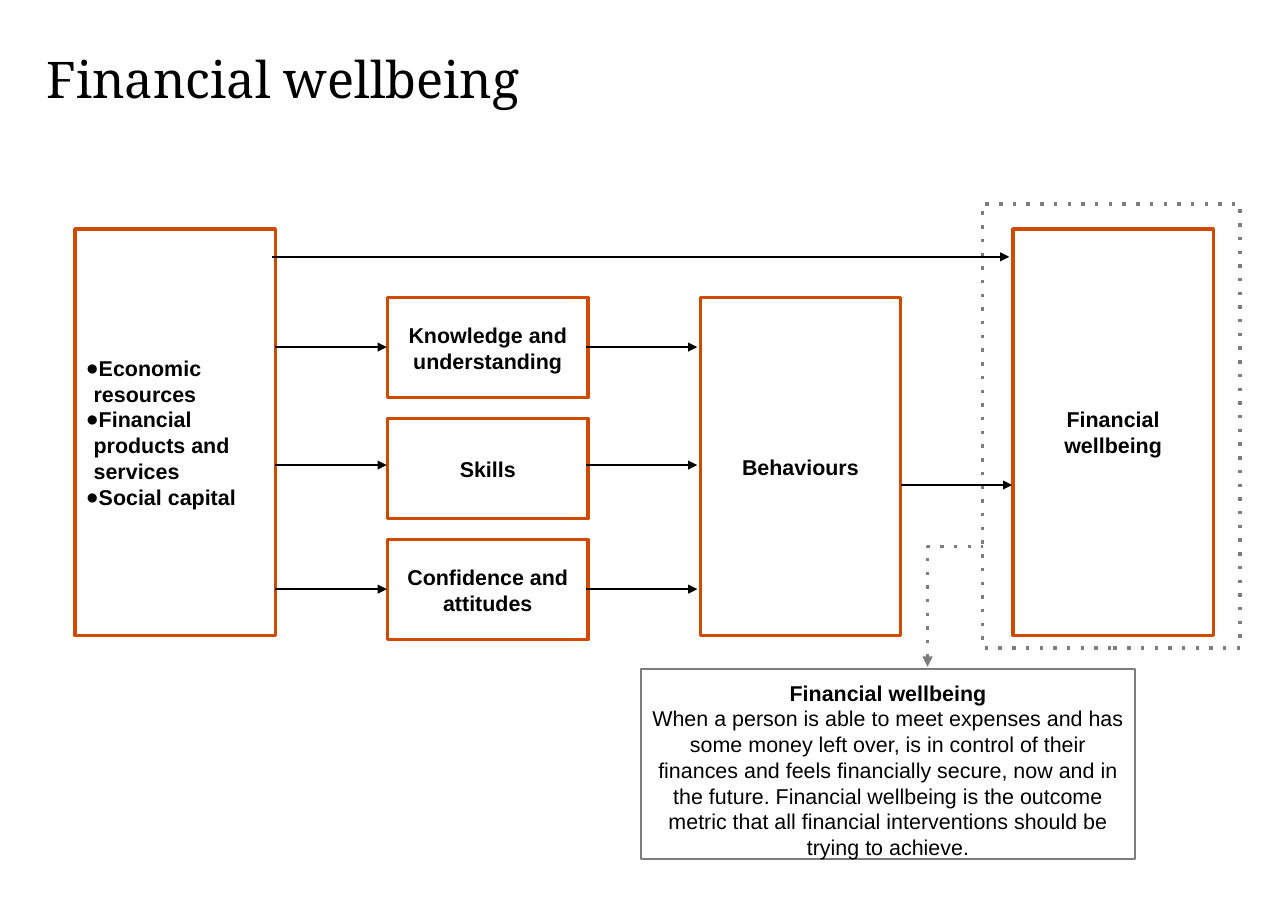
import pptx
import pptx.util
import pptx.dml.color
import pptx.enum.shapes
import pptx.enum.text
import pptx.oxml.ns
import lxml.etree

Cm, Pt = pptx.util.Cm, pptx.util.Pt
qn = pptx.oxml.ns.qn
ALIGN = pptx.enum.text.PP_ALIGN
ANCHOR = pptx.enum.text.MSO_ANCHOR
CONNECTOR = pptx.enum.shapes.MSO_CONNECTOR
BLACK = pptx.dml.color.RGBColor(0x00, 0x00, 0x00)
ORANGE = pptx.dml.color.RGBColor(0xD0, 0x4A, 0x02)
GREY = pptx.dml.color.RGBColor(0x7D, 0x7D, 0x7D)


def add_xml(parent, tag, **attributes):
    element = lxml.etree.SubElement(parent, qn(tag))
    for key, value in attributes.items():
        element.set(key, value)
    return element


class Diagram:
    heading_font, body_font, body_size = "Noto Serif", "Arial", Pt(14)

    def __init__(self, slide):
        self.slide = slide

    def style_line(self, shape, color, width, dotted=False):
        shape.line.color.rgb = color
        shape.line.width = Pt(width)
        if dotted:
            add_xml(shape.line._get_or_add_ln(), "a:prstDash", val="dot")

    def add_text(self, paragraph, text, font, size, bold):
        run = paragraph.add_run()
        run.text = text
        run.font.name, run.font.size, run.font.bold = font, size, bold
        run.font.color.rgb = BLACK

    def title(self, text, left, top, width, height):
        frame = self.slide.shapes.add_textbox(
            Cm(left), Cm(top), Cm(width), Cm(height)).text_frame
        frame.word_wrap = True
        frame.margin_left = frame.margin_right = 0
        frame.margin_top = frame.margin_bottom = 0
        frame.paragraphs[0].line_spacing = 0.85
        self.add_text(frame.paragraphs[0], text, self.heading_font, Pt(33), False)

    def box(self, left, top, width, height, lines=(), color=ORANGE, weight=2.25,
            dotted=False, bullets=False, anchor=ANCHOR.MIDDLE):
        """Draw an unfilled box; lines holds (text, bold) pairs."""
        shape = self.slide.shapes.add_shape(
            pptx.enum.shapes.MSO_SHAPE.RECTANGLE,
            Cm(left), Cm(top), Cm(width), Cm(height))
        shape.shadow.inherit = False
        shape.fill.background()
        self.style_line(shape, color, weight, dotted)
        frame = shape.text_frame
        frame.word_wrap, frame.vertical_anchor = True, anchor
        frame.margin_left = frame.margin_right = Cm(0.25)
        frame.margin_top = frame.margin_bottom = Cm(0.25)
        for index, (text, bold) in enumerate(lines):
            paragraph = frame.add_paragraph() if index else frame.paragraphs[0]
            paragraph.alignment = ALIGN.LEFT if bullets else ALIGN.CENTER
            if bullets:
                self.bullet(paragraph)
            self.add_text(paragraph, text, self.body_font, self.body_size, bold)

    def bullet(self, paragraph):
        properties = paragraph._p.get_or_add_pPr()
        properties.set("marL", str(Cm(0.18)))
        properties.set("indent", str(Cm(-0.36)))
        color = add_xml(properties, "a:buClr")
        add_xml(color, "a:srgbClr", val=str(BLACK))
        add_xml(properties, "a:buFont", typeface=self.body_font)
        add_xml(properties, "a:buChar", char="●")

    def connector(self, kind, x1, y1, x2, y2, color, weight, end, dotted=False):
        line = self.slide.shapes.add_connector(kind, Cm(x1), Cm(y1), Cm(x2), Cm(y2))
        self.style_line(line, color, weight, dotted)
        add_xml(line.line._get_or_add_ln(), end, type="triangle")
        add_xml(line.element.spPr, "a:effectLst")
        return line

    def arrow(self, x1, x2, y):
        self.connector(CONNECTOR.STRAIGHT, x1, y, x2, y, BLACK, 1.5, "a:tailEnd")

    def dotted_elbow(self, left, top, width, height):
        """Run from the bottom left up, then right; the arrowhead is at the bottom."""
        x, y = left + width / 2, top + height / 2
        elbow = self.connector(
            CONNECTOR.ELBOW, x - height / 2, y - width / 2, x + height / 2,
            y + width / 2, GREY, 2.25, "a:headEnd", dotted=True)
        properties = elbow.element.spPr
        properties.find(qn("a:xfrm")).set("rot", str(270 * 60000))
        geometry = properties.find(qn("a:prstGeom"))
        guides = geometry.find(qn("a:avLst"))
        if guides is None:
            guides = add_xml(geometry, "a:avLst")
        add_xml(guides, "a:gd", name="adj1", fmla="val 100000")


presentation = pptx.Presentation()
presentation.slide_width, presentation.slide_height = Cm(29.7), Cm(21)
diagram = Diagram(presentation.slides.add_slide(presentation.slide_layouts[6]))

# Grid of four columns
BOX_WIDTH = 4.62
resources_x, abilities_x, behaviours_x, wellbeing_x = (
    1.73 + 7.21 * column for column in range(4))
TALL_TOP, TALL_HEIGHT = 5.28, 9.37
INNER_TOP, ABILITY_HEIGHT, ABILITY_PITCH = 6.86, 2.31, 2.79

# Outcome frame and title
diagram.box(22.66, 4.7, 5.94, 10.24, color=GREY, dotted=True)
diagram.title("Financial wellbeing", 1.07, 1.32, 27.53, 1.55)

# Resources, behaviours and outcome
resources = ["Economic resources", "Financial products and services", "Social capital"]
diagram.box(resources_x, TALL_TOP, BOX_WIDTH, TALL_HEIGHT,
            [(resource, True) for resource in resources], bullets=True)
diagram.box(behaviours_x, INNER_TOP, BOX_WIDTH, TALL_TOP + TALL_HEIGHT - INNER_TOP,
            [("Behaviours", True)])
diagram.box(wellbeing_x, TALL_TOP, BOX_WIDTH, TALL_HEIGHT,
            [("Financial wellbeing", True)])

# Abilities, each with an arrow in and an arrow out
abilities = [("Knowledge and understanding", 8.0), ("Skills", 10.72),
             ("Confidence and attitudes", 13.58)]
for row, (ability, arrow_y) in enumerate(abilities):
    diagram.box(abilities_x, INNER_TOP + row * ABILITY_PITCH, BOX_WIDTH,
                ABILITY_HEIGHT, [(ability, True)])
    for start in (resources_x + BOX_WIDTH, abilities_x + BOX_WIDTH - 0.05):
        diagram.arrow(start, start + 2.57, arrow_y)

# Arrows into the outcome
diagram.arrow(6.27, 23.27, 5.92)
diagram.arrow(behaviours_x + BOX_WIDTH, 23.34, 11.18)

# Definition of the outcome
definition = (
    "When a person is able to meet expenses and has some money left over, is in "
    "control of their finances and feels financially secure, now and in the future. "
    "Financial wellbeing is the outcome metric that all financial interventions "
    "should be trying to achieve.")
diagram.box(14.78, 15.42, 11.4, 4.39,
            [("Financial wellbeing", True), (definition, False)],
            color=GREY, weight=1.5, anchor=ANCHOR.TOP)
diagram.dotted_elbow(21.39, 12.6, 1.27, 2.77)

presentation.save("out.pptx")
